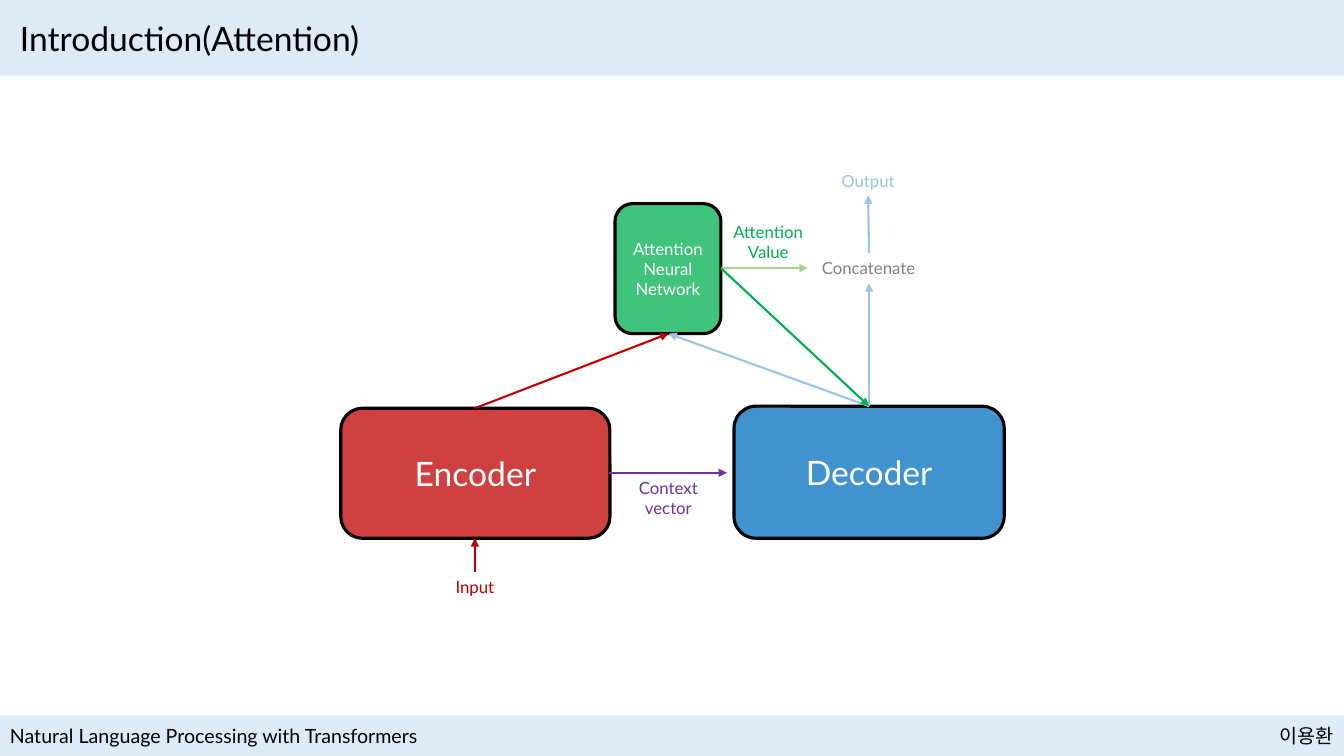
from lxml import etree
from pptx import Presentation
from pptx.dml.color import RGBColor
from pptx.enum import shapes, text
from pptx.oxml.ns import qn
from pptx.util import Inches, Pt

LEFT, CENTER, RIGHT = text.PP_ALIGN.LEFT, text.PP_ALIGN.CENTER, text.PP_ALIGN.RIGHT
TOP, MIDDLE = text.MSO_ANCHOR.TOP, text.MSO_ANCHOR.MIDDLE


def rgb(value):
    return RGBColor.from_string(value)


def write(shape, lines, size, color, align=CENTER, anchor=TOP):
    frame = shape.text_frame
    frame.word_wrap = True
    frame.vertical_anchor = anchor
    frame.margin_left = frame.margin_right = Inches(0.05 if align == CENTER else 0.1)
    for i, line in enumerate(lines):
        paragraph = frame.add_paragraph() if i else frame.paragraphs[0]
        paragraph.alignment = align
        run = paragraph.add_run()
        run.text = line
        run.font.name = "Lato"
        run.font.size = Pt(size)
        run.font.color.rgb = rgb(color)


deck = Presentation()
deck.slide_width, deck.slide_height = Inches(13.33), Inches(7.5)
slide = deck.slides.add_slide(deck.slide_layouts[6])

# Header and footer bands
for top, height in [(0, 0.75), (7.1, 0.4)]:
    band = slide.shapes.add_shape(shapes.MSO_SHAPE.RECTANGLE, 0, Inches(top),
                                  deck.slide_width, Inches(height))
    band.shadow.inherit = False
    band.fill.solid()
    band.fill.fore_color.rgb = rgb("DEEBF7")
    band.line.fill.background()

# Network blocks
blocks = [
    ((3.38, 4.05, 2.67, 1.29), ["Encoder"], 24, "C00000"),
    ((7.28, 4.03, 2.68, 1.31), ["Decoder"], 24, "0070C0"),
    ((6.1, 2.02, 1.05, 1.29), ["Attention", "Neural", "Network"], 12, "00B050"),
]
for place, lines, size, color in blocks:
    block = slide.shapes.add_shape(shapes.MSO_SHAPE.ROUNDED_RECTANGLE, *map(Inches, place))
    block.shadow.inherit = False
    block.fill.solid()
    block.fill.fore_color.rgb = rgb(color)
    fill_color = block.fill._xPr.find(qn("a:solidFill"))[0]
    etree.SubElement(fill_color, qn("a:alpha"), val="75000")
    block.line.color.rgb = rgb("000000")
    block.line.width = Pt(2.25)
    write(block, lines, size, "FFFFFF", anchor=MIDDLE)

# Title, footer texts and diagram labels
labels = [
    ((0.1, 0.1, 13.14, 0.55), ["Introduction(Attention)"], 24, "000000", LEFT, MIDDLE),
    ((0, 7.13, 4.5, 0.34), ["Natural Language Processing with Transformers"], 14, "000000", LEFT, TOP),
    ((12.42, 7.13, 0.91, 0.34), ["이용환"], 14, "000000", RIGHT, TOP),
    ((4.39, 5.67, 0.64, 0.3), ["Input"], 12, "C00000", CENTER, TOP),
    ((6.23, 4.69, 0.8, 0.5), ["Context", "vector"], 12, "7030A0", CENTER, TOP),
    ((8.21, 1.64, 0.8, 0.3), ["Output"], 12, "9DC3E6", CENTER, TOP),
    ((7.15, 2.15, 0.94, 0.5), ["Attention", "Value"], 12, "00B050", CENTER, TOP),
    ((8.01, 2.51, 1.21, 0.3), ["Concatenate"], 12, "808080", CENTER, TOP),
]
for place, lines, size, color, align, anchor in labels:
    label = slide.shapes.add_textbox(*map(Inches, place))
    write(label, lines, size, color, align, anchor)

# Arrows, from start to end
encoder_top, decoder_top = (4.71, 4.05), (8.62, 4.03)
attention_bottom, attention_right = (6.63, 3.31), (7.15, 2.66)
arrows = [
    ((6.04, 4.69), (7.21, 4.69), "7030A0"),
    ((4.71, 5.67), (4.71, 5.34), "C00000"),
    (decoder_top, (8.62, 2.81), "9DC3E6"),
    (decoder_top, attention_bottom, "9DC3E6"),
    (encoder_top, attention_bottom, "C00000"),
    (attention_right, (8.01, 2.66), "A9D18E"),
    ((8.62, 2.51), (8.61, 1.94), "9DC3E6"),
    (attention_right, decoder_top, "00B050"),
]
for start, end, color in arrows:
    arrow = slide.shapes.add_connector(shapes.MSO_CONNECTOR.STRAIGHT, *map(Inches, start + end))
    arrow.line.color.rgb = rgb(color)
    arrow.line.width = Pt(1.5)
    etree.SubElement(arrow.line._get_or_add_ln(), qn("a:tailEnd"), type="triangle")
    etree.SubElement(arrow._element.spPr, qn("a:effectLst"))

deck.save("out.pptx")
